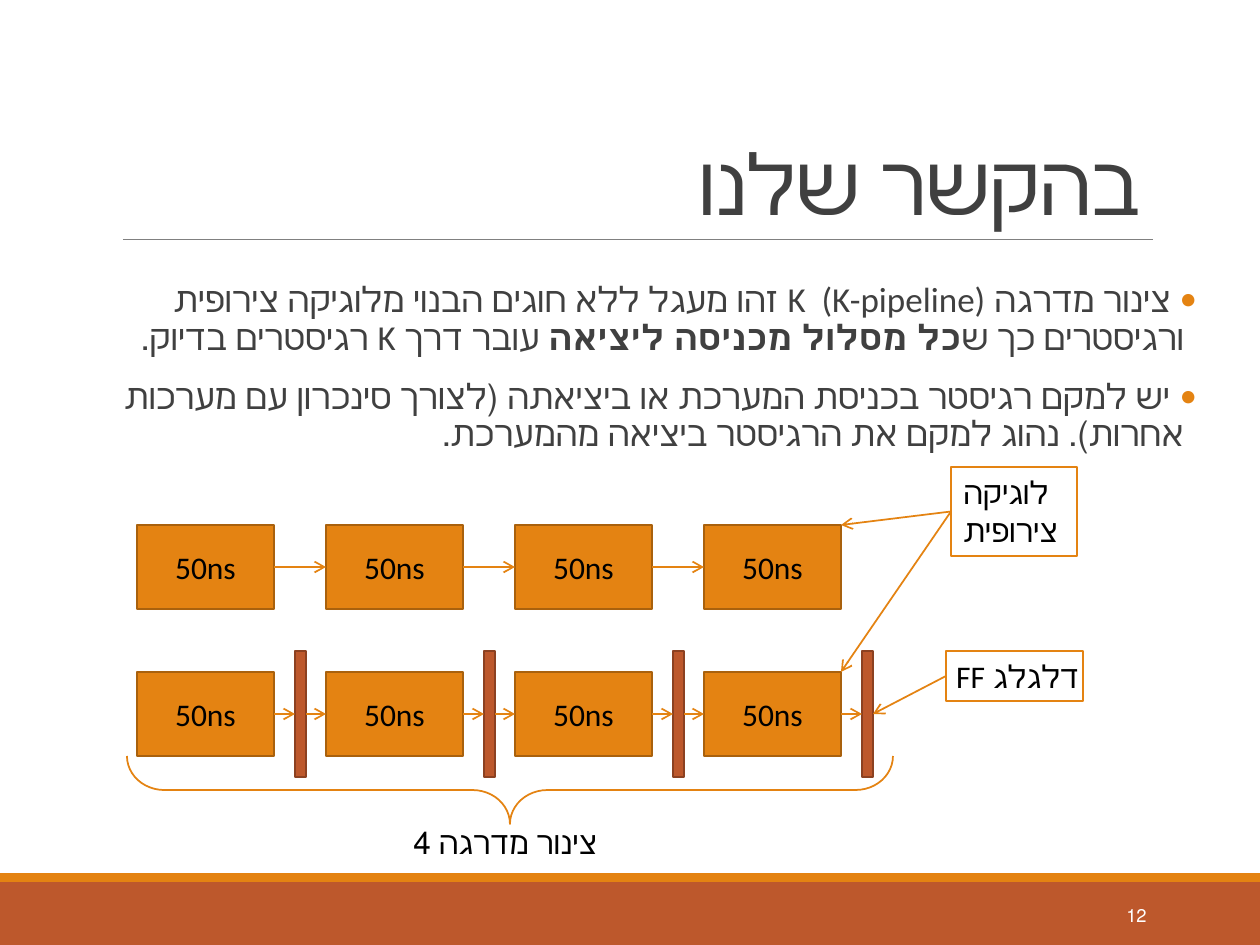
from dataclasses import dataclass, field

from lxml.etree import SubElement
from pptx import Presentation
from pptx.dml.color import RGBColor
from pptx.enum.shapes import MSO_CONNECTOR, MSO_SHAPE
from pptx.enum.text import MSO_ANCHOR, PP_ALIGN
from pptx.oxml.ns import qn
from pptx.util import Pt

EMU_PER_PX = 914400 / 126
TOP, LEFT, BOTTOM, RIGHT = range(4)
FONT = "Calibri"
COLORS = {
    "orange": "E48312",
    "orange_edge": "A9610D",
    "rust": "BD582C",
    "rust_edge": "8C4121",
    "rule": "808080",
    "heading": "404040",
    "black": "000000",
    "white": "FFFFFF",
}


@dataclass
class Area:
    left: int
    top: int
    width: int
    height: int

    def emu(self) -> list:
        return [px(n) for n in (self.left, self.top, self.width, self.height)]


@dataclass
class Span:
    text: str
    bold: bool = False


@dataclass
class TextStyle:
    size: float = 18
    color: str = "black"
    rtl: bool = False
    bullet: bool = False
    para: dict = field(default_factory=dict)
    frame: dict = field(default_factory=dict)


def px(length: int) -> int:
    return round(length * EMU_PER_PX)


def rgb(name: str) -> RGBColor:
    return RGBColor.from_string(COLORS[name])


def set_all(target, values: dict) -> None:
    for name, value in values.items():
        setattr(target, name, value)


def write_para(para, spans: list, style: TextStyle) -> None:
    set_all(para, style.para)
    properties = para._p.get_or_add_pPr()
    if style.rtl:
        properties.set("rtl", "1")
    if style.bullet:
        properties.set("marL", "91440")
        properties.set("indent", "-91440")
        bullet_color = SubElement(properties, qn("a:buClr"))
        SubElement(bullet_color, qn("a:srgbClr"), val=COLORS["orange"])
        SubElement(properties, qn("a:buFont"), typeface=FONT)
        SubElement(properties, qn("a:buChar"), char="•")
    for span in spans:
        run = para.add_run()
        run.text = span.text
        set_all(run.font, {"name": FONT, "size": Pt(style.size), "bold": span.bold})
        run.font.color.rgb = rgb(style.color)


def add_text(page, area: Area, paras: list, style: TextStyle):
    box = page.shapes.add_textbox(*area.emu())
    frame = box.text_frame
    set_all(frame, {"word_wrap": True, **style.frame})
    for index, spans in enumerate(paras):
        para = frame.add_paragraph() if index else frame.paragraphs[0]
        write_para(para, spans, style)
    return box


def set_line(shape, color: str, width: float) -> None:
    shape.line.color.rgb = rgb(color)
    shape.line.width = Pt(width)


def add_block(page, area: Area, fill: str, edge: str = "", text: str = ""):
    block = page.shapes.add_shape(MSO_SHAPE.RECTANGLE, *area.emu())
    block.shadow.inherit = False
    block.fill.solid()
    block.fill.fore_color.rgb = rgb(fill)
    if edge:
        set_line(block, edge, 1.25)
    else:
        block.line.fill.background()
    if text:
        block.text_frame.vertical_anchor = MSO_ANCHOR.MIDDLE
        write_para(block.text_frame.paragraphs[0], [Span(text)],
                   TextStyle(para={"alignment": PP_ALIGN.CENTER}))
    return block


def add_line(page, start: tuple, end: tuple, color: str, width: float):
    line = page.shapes.add_connector(
        MSO_CONNECTOR.STRAIGHT, *(px(n) for n in start + end))
    set_line(line, color, width)
    SubElement(line.element.spPr, qn("a:effectLst"))
    return line


def add_arrow(page, source, target=None, corner: tuple = (0, 0)) -> None:
    """Run from a left or right side to the facing side of target, or to a corner."""
    arrow = add_line(page, (0, 0), corner, "orange", 1)
    outline = arrow.element.spPr.find(qn("a:ln"))
    SubElement(outline, qn("a:tailEnd"), type="arrow")
    leftward = target is None or target.left < source.left
    arrow.begin_connect(source, LEFT if leftward else RIGHT)
    if target is not None:
        arrow.end_connect(target, RIGHT if leftward else LEFT)


def add_chain(page, blocks: list) -> None:
    for source, target in zip(blocks, blocks[1:]):
        add_arrow(page, source, target)


def main() -> None:
    deck = Presentation()
    deck.slide_width, deck.slide_height = px(1260), px(945)
    page = deck.slides.add_slide(deck.slide_layouts[6])
    right = {"alignment": PP_ALIGN.RIGHT}

    # Footer bands, title rule and page number
    add_block(page, Area(0, 882, 1260, 63), "rust")
    add_block(page, Area(0, 873, 1260, 9), "orange")
    add_line(page, (123, 239), (1153, 239), "rule", 0.5)
    add_text(page, Area(1023, 890, 136, 50), [[Span("12")]],
             TextStyle(10.5, "white", True, para=right,
                       frame={"vertical_anchor": MSO_ANCHOR.MIDDLE}))

    # Title
    title = add_text(page, Area(113, 39, 1040, 200), [[Span("בהקשר שלנו")]],
                     TextStyle(48, "heading", True,
                               para={**right, "line_spacing": 0.85},
                               frame={"vertical_anchor": MSO_ANCHOR.BOTTOM}))
    title_run = title.text_frame.paragraphs[0].runs[0]
    title_run.font._element.set("spc", "-50")

    # Bulleted definition
    bullets = [
        [Span(" צינור מדרגה K  (K-pipeline) זהו מעגל ללא חוגים הבנוי "
              "מלוגיקה צירופית ורגיסטרים כך ש"),
         Span("כל מסלול מכניסה ליציאה", bold=True),
         Span(" עובר דרך K רגיסטרים בדיוק.")],
        [Span(" יש למקם רגיסטר בכניסת המערכת או ביציאתה (לצורך סינכרון עם "
              "מערכות אחרות). נהוג למקם את הרגיסטר ביציאה מהמערכת.")],
    ]
    body = add_text(page, Area(63, 276, 1134, 190), bullets,
                    TextStyle(20, "heading", True, True,
                              para={**right, "line_spacing": 0.9, "space_before": Pt(12)},
                              frame={"margin_left": 0, "margin_right": 0}))
    body.text_frame.paragraphs[0].space_before = Pt(0)

    # Logic stages without registers, then with one register after each
    first, step, stage_width, stage_height = 137, 189, 137, 84
    plain_top, piped_top = 525, 672
    plain, piped = [], []
    for left in range(first, first + 4 * step, step):
        plain.append(add_block(page, Area(left, plain_top, stage_width, stage_height),
                               "orange", "orange_edge", "50ns"))
        piped.append(add_block(page, Area(left, piped_top, stage_width, stage_height),
                               "orange", "orange_edge", "50ns"))
        piped.append(add_block(page, Area(left + 158, piped_top - 21, 11, 126),
                               "rust", "rust_edge"))
    add_chain(page, plain)
    add_chain(page, piped)

    # Callouts; narrow side margins keep the flip-flop label on one line
    logic = add_text(page, Area(951, 467, 126, 89), [[Span("לוגיקה צירופית")]], TextStyle())
    flip_flop = add_text(page, Area(946, 651, 137, 50), [[Span("דלגלג FF")]],
                         TextStyle(rtl=True, para=right,
                                   frame={"margin_left": px(4), "margin_right": px(4)}))
    for callout in (logic, flip_flop):
        set_line(callout, "orange", 0.75)
    last_edge = first + 3 * step + stage_width
    for top in (plain_top, piped_top):
        add_arrow(page, logic, corner=(last_edge, top))
    add_arrow(page, flip_flop, piped[-1])

    # Brace under the pipeline and its caption
    brace = page.shapes.add_shape(MSO_SHAPE.LEFT_BRACE, *Area(476, 407, 68, 766).emu())
    brace.shadow.inherit = False
    brace.rotation = 270
    brace.adjustments[0] = 0.55
    brace.fill.background()
    set_line(brace, "orange", 1)
    add_text(page, Area(401, 817, 231, 50), [[Span("צינור מדרגה 4")]], TextStyle())

    deck.save("out.pptx")


if __name__ == "__main__":
    main()
